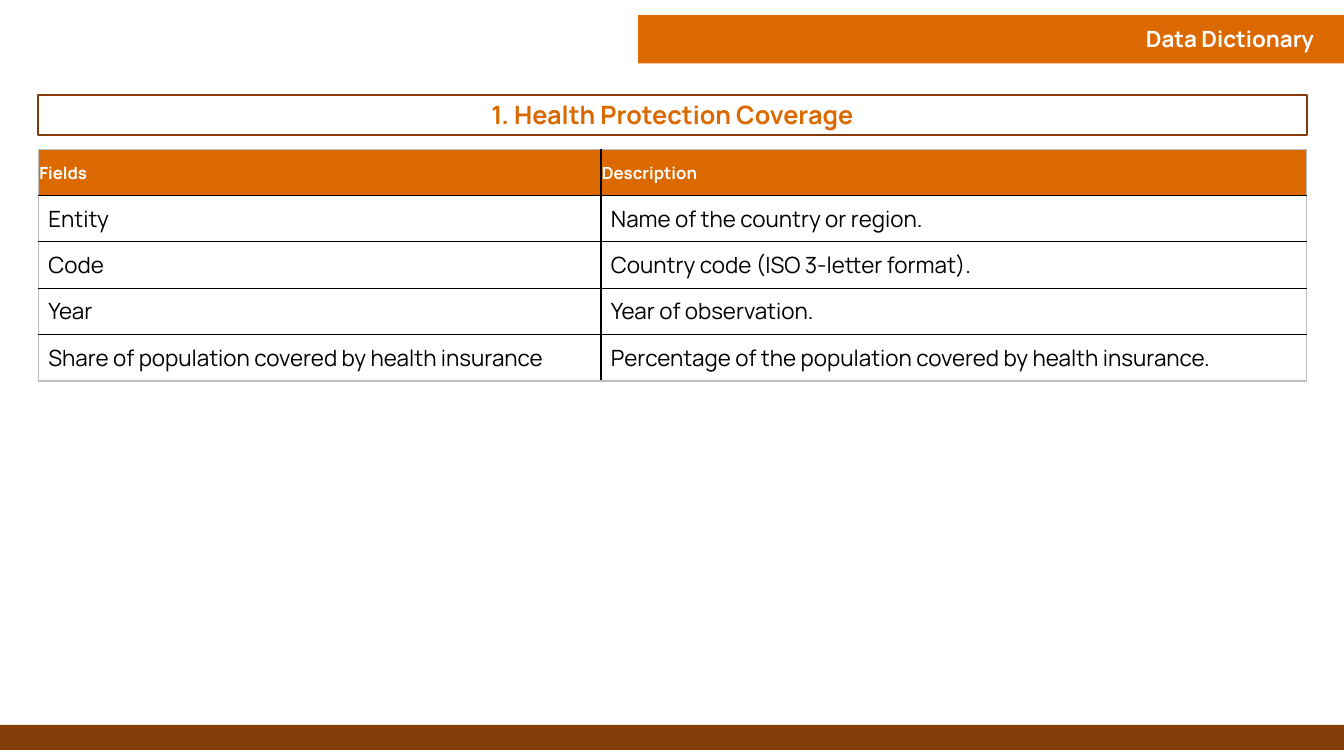
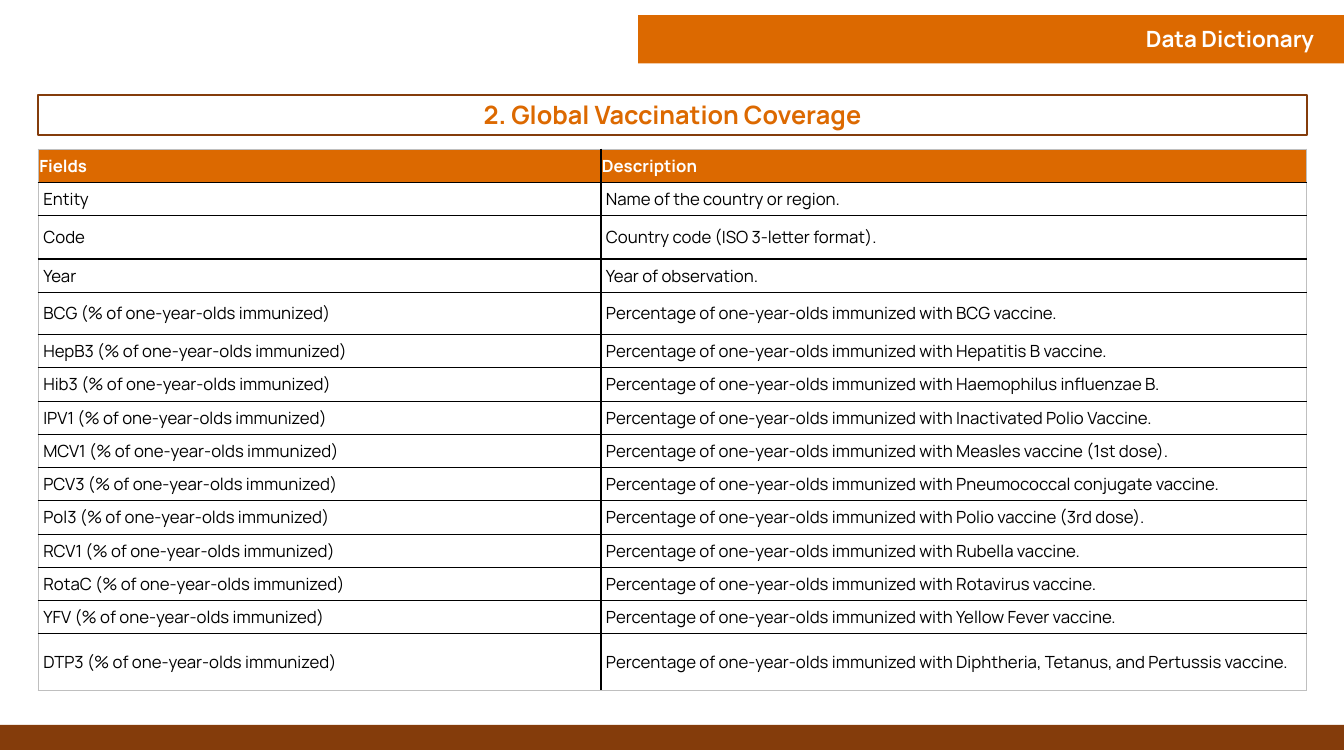
import dataclasses

import lxml.etree
import pptx
import pptx.dml.color
import pptx.enum.shapes
import pptx.enum.text
import pptx.oxml.ns
import pptx.util

Inches = pptx.util.Inches
Align = pptx.enum.text.PP_ALIGN
MIDDLE = pptx.enum.text.MSO_ANCHOR.MIDDLE


@dataclasses.dataclass(frozen=True)
class Theme:
    font: str = "Manrope"
    orange: str = "DC6900"
    brown: str = "843C0B"
    white: str = "FFFFFF"
    black: str = "000000"
    frame_grey: str = "BFBFBF"
    heading_size: int = 18
    title_size: int = 16
    large_body_size: int = 16
    small_size: int = 12
    outline_width: float = 1.5
    grid_width: float = 1


THEME = Theme()
SLIDE_WIDTH = 13.33
MARGIN = 0.38
COLUMN_WIDTHS = (5.58, 7)
CONTENT_WIDTH = sum(COLUMN_WIDTHS)
TABLE_TOP = 1.48

# Cell margins: left, top, right, bottom
HEADER_MARGINS = (0.01, 0.01, 0.01, 0)
ROOMY_MARGINS = (0.1, 0.05, 0.1, 0.05)
COMPACT_MARGINS = (0.05, 0.03, 0.05, 0.03)

HEADER = ("Fields", "Description")
COMMON_FIELDS = [
    ("Entity", "Name of the country or region."),
    ("Code", "Country code (ISO 3-letter format)."),
    ("Year", "Year of observation."),
]
INSURANCE_FIELD = (
    "Share of population covered by health insurance",
    "Percentage of the population covered by health insurance.",
)
VACCINES = {
    "BCG": "BCG vaccine",
    "HepB3": "Hepatitis B vaccine",
    "Hib3": "Haemophilus influenzae B",
    "IPV1": "Inactivated Polio Vaccine",
    "MCV1": "Measles vaccine (1st dose)",
    "PCV3": "Pneumococcal conjugate vaccine",
    "Pol3": "Polio vaccine (3rd dose)",
    "RCV1": "Rubella vaccine",
    "RotaC": "Rotavirus vaccine",
    "YFV": "Yellow Fever vaccine",
    "DTP3": "Diphtheria, Tetanus, and Pertussis vaccine",
}
VACCINE_FIELDS = [
    (f"{code} (% of one-year-olds immunized)",
     f"Percentage of one-year-olds immunized with {vaccine}.")
    for code, vaccine in VACCINES.items()
]


def rgb(color):
    return pptx.dml.color.RGBColor.from_string(color)


def write_text(text_frame, text, *, size, color, bold=False, align=Align.LEFT):
    paragraph = text_frame.paragraphs[0]
    paragraph.alignment = align
    run = paragraph.add_run()
    run.text = text
    run.font.name = THEME.font
    run.font.size = pptx.util.Pt(size)
    run.font.bold = bold
    run.font.color.rgb = rgb(color)


def add_rectangle(slide, left, top, width, height, *, fill=None, line=None):
    shape = slide.shapes.add_shape(
        pptx.enum.shapes.MSO_SHAPE.RECTANGLE,
        Inches(left), Inches(top), Inches(width), Inches(height))
    shape.shadow.inherit = False
    if fill:
        shape.fill.solid()
        shape.fill.fore_color.rgb = rgb(fill)
    else:
        shape.fill.background()
    if line:
        shape.line.color.rgb = rgb(line)
        shape.line.width = pptx.util.Pt(THEME.outline_width)
    else:
        shape.line.fill.background()
    return shape


def add_title_and_bands(slide):
    add_rectangle(slide, 0, 7.19, SLIDE_WIDTH, 0.25, fill=THEME.brown)
    add_rectangle(slide, 6.33, 0.15, 7, 0.48, fill=THEME.orange)
    title = slide.shapes.add_textbox(
        Inches(8.82), Inches(0.2), Inches(4.31), Inches(0.37))
    title.text_frame.word_wrap = True
    title.text_frame.vertical_anchor = MIDDLE
    write_text(title.text_frame, "Data Dictionary", size=THEME.title_size,
               color=THEME.white, bold=True, align=Align.RIGHT)


def add_section_heading(slide, text):
    box = add_rectangle(slide, MARGIN, 0.94, CONTENT_WIDTH, 0.4, line=THEME.brown)
    box.text_frame.vertical_anchor = MIDDLE
    write_text(box.text_frame, text, size=THEME.heading_size,
               color=THEME.orange, bold=True, align=Align.CENTER)


def set_borders(cell, outer_sides):
    """Draw grey lines on the table's outer sides and black lines inside."""
    properties = cell._tc.get_or_add_tcPr()
    qualified = pptx.oxml.ns.qn
    for side in "LRTB":
        color = THEME.frame_grey if side in outer_sides else THEME.black
        line = lxml.etree.SubElement(
            properties, qualified(f"a:ln{side}"),
            w=str(pptx.util.Pt(THEME.grid_width)))
        fill = lxml.etree.SubElement(line, qualified("a:solidFill"))
        lxml.etree.SubElement(fill, qualified("a:srgbClr"), val=color)


def format_cell(cell, text, *, margins, outer_sides, fill=None, **text_format):
    set_borders(cell, outer_sides)
    if fill:
        cell.fill.solid()
        cell.fill.fore_color.rgb = rgb(fill)
    else:
        cell.fill.background()
    (cell.margin_left, cell.margin_top,
     cell.margin_right, cell.margin_bottom) = map(Inches, margins)
    cell.vertical_anchor = MIDDLE
    write_text(cell.text_frame, text, **text_format)


def add_field_table(slide, fields, row_heights, *, body_size, body_margins):
    rows = [HEADER, *fields]
    table = slide.shapes.add_table(
        len(rows), len(HEADER), Inches(MARGIN), Inches(TABLE_TOP),
        Inches(CONTENT_WIDTH), Inches(sum(row_heights))).table
    table.first_row = True
    table.horz_banding = False
    for column, width in zip(table.columns, COLUMN_WIDTHS):
        column.width = Inches(width)
    for row, height in zip(table.rows, row_heights):
        row.height = Inches(height)

    header_format = dict(margins=HEADER_MARGINS, fill=THEME.orange,
                         size=THEME.small_size, color=THEME.white, bold=True)
    body_format = dict(margins=body_margins, size=body_size, color=THEME.black)
    for row_index, texts in enumerate(rows):
        cell_format = body_format if row_index else header_format
        row_sides = {0: "T", len(rows) - 1: "B"}.get(row_index, "")
        for column_index, text in enumerate(texts):
            format_cell(table.cell(row_index, column_index), text,
                        outer_sides=row_sides + "LR"[column_index], **cell_format)


def add_dictionary_slide(presentation, heading, fields, row_heights, **table_format):
    slide = presentation.slides.add_slide(presentation.slide_layouts[6])
    add_title_and_bands(slide)
    add_section_heading(slide, heading)
    add_field_table(slide, fields, row_heights, **table_format)


def main():
    presentation = pptx.Presentation()
    presentation.slide_width = Inches(SLIDE_WIDTH)
    presentation.slide_height = Inches(7.5)

    add_dictionary_slide(
        presentation, "1. Health Protection Coverage",
        [*COMMON_FIELDS, INSURANCE_FIELD], [0.46] * 5,
        body_size=THEME.large_body_size, body_margins=ROOMY_MARGINS)
    add_dictionary_slide(
        presentation, "2. Global Vaccination Coverage",
        COMMON_FIELDS + VACCINE_FIELDS,
        [0.33, 0.33, 0.43, 0.33, 0.42] + [0.33] * 9 + [0.56],
        body_size=THEME.small_size, body_margins=COMPACT_MARGINS)

    presentation.save("out.pptx")


if __name__ == "__main__":
    main()
